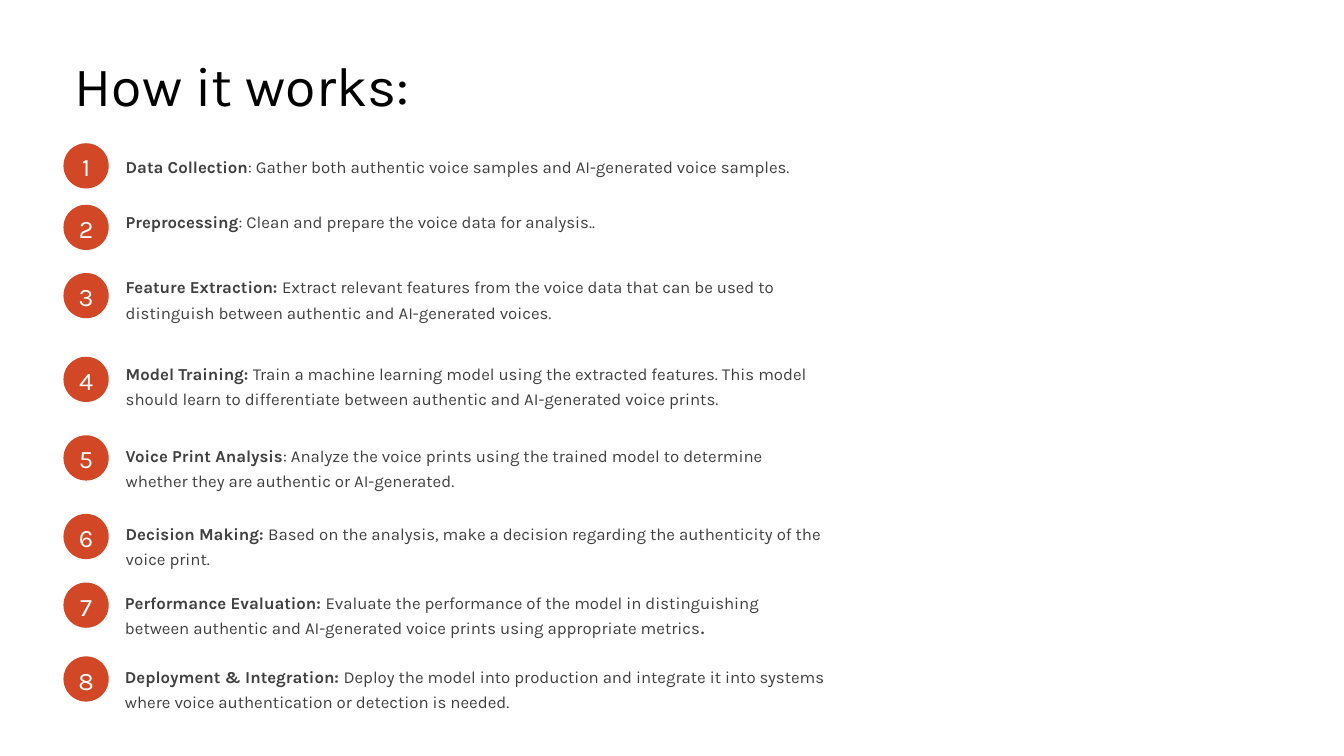
from dataclasses import dataclass

from pptx import Presentation
from pptx.dml.color import RGBColor
from pptx.enum.shapes import MSO_SHAPE as Preset
from pptx.enum.text import MSO_ANCHOR as Anchor, MSO_AUTO_SIZE as AutoSize, PP_ALIGN as Align
from pptx.slide import Slide
from pptx.util import Cm, Pt


@dataclass(frozen=True)
class Theme:
    font: str = "Karla"
    heading: RGBColor = RGBColor(0x00, 0x00, 0x00)
    accent: RGBColor = RGBColor(0xD2, 0x47, 0x26)
    on_accent: RGBColor = RGBColor(0xFF, 0xFF, 0xFF)
    body: RGBColor = RGBColor(0x40, 0x40, 0x40)
    heading_size: float = 39.6
    badge_size: float = 18
    body_size: float = 12


@dataclass(frozen=True)
class Step:
    name: str
    detail: str
    badge_top: float
    text_top: float
    text_left: float = 2.92
    ending: str = ""


THEME = Theme()
BADGE_LEFT, BADGE_DIAMETER = 1.6, 1.14
TEXT_WIDTH, TEXT_HEIGHT = 18.14, 1.65

STEPS = [
    Step("Data Collection",
         ": Gather both authentic voice samples and AI-generated voice samples.",
         3.61, 3.71),
    Step("Preprocessing",
         ": Clean and prepare the voice data for analysis..",
         5.16, 5.08),
    Step("Feature Extraction: ",
         "Extract relevant features from the voice data that can be used to "
         "distinguish between authentic and AI-generated voices.",
         6.88, 6.73),
    Step("Model Training: ",
         "Train a machine learning model using the extracted features. This model "
         "should learn to differentiate between authentic and AI-generated voice prints.",
         8.99, 8.92),
    Step("Voice Print Analysis",
         ": Analyze the voice prints using the trained model to determine "
         "whether they are authentic or AI-generated.",
         10.97, 10.97),
    Step("Decision Making: ",
         "Based on the analysis, make a decision regarding the authenticity of the "
         "voice print.",
         12.95, 12.95),
    Step("Performance Evaluation: ",
         "Evaluate the performance of the model in distinguishing "
         "between authentic and AI-generated voice prints using appropriate metrics",
         14.68, 14.68, 2.9, "."),
    Step("Deployment & Integration: ",
         "Deploy the model into production and integrate it into "
         "systems where voice authentication or detection is needed.",
         16.54, 16.54, 2.9),
]


def style_font(font, size: float, color: RGBColor) -> None:
    font.name = THEME.font
    font.size = Pt(size)
    font.color.rgb = color


def add_title(slide: Slide, wording: str) -> None:
    title = slide.shapes.title
    title.left, title.top, title.width, title.height = Cm(1.63), Cm(1.47), Cm(19.1), Cm(1.52)
    frame = title.text_frame
    frame.text = wording
    frame.auto_size = AutoSize.NONE
    frame.vertical_anchor = Anchor.MIDDLE
    heading = frame.paragraphs[0]
    heading.alignment = Align.LEFT
    heading.line_spacing = 0.9
    style_font(heading.font, THEME.heading_size, THEME.heading)


def add_badge(slide: Slide, number: int, top: float) -> None:
    badge = slide.shapes.add_shape(
        Preset.OVAL, Cm(BADGE_LEFT), Cm(top), Cm(BADGE_DIAMETER), Cm(BADGE_DIAMETER))
    badge.shadow.inherit = False
    badge.fill.solid()
    badge.fill.fore_color.rgb = THEME.accent
    badge.line.fill.background()
    frame = badge.text_frame
    frame.margin_left = frame.margin_right = frame.margin_bottom = 0
    frame.margin_top = Cm(0.05)
    frame.word_wrap = False
    frame.vertical_anchor = Anchor.MIDDLE
    frame.text = str(number)
    numeral = frame.paragraphs[0]
    numeral.alignment = Align.CENTER
    style_font(numeral.font, THEME.badge_size, THEME.on_accent)


def add_description(slide: Slide, step: Step) -> None:
    frame = slide.shapes.add_textbox(
        Cm(step.text_left), Cm(step.text_top), Cm(TEXT_WIDTH), Cm(TEXT_HEIGHT)).text_frame
    frame.word_wrap = True
    description = frame.paragraphs[0]
    description.line_spacing = Pt(18)
    description.space_before = Pt(10)
    description.space_after = Pt(6)
    style_font(description.font, THEME.body_size, THEME.body)
    for wording, bold in ((step.name, True), (step.detail, False), (step.ending, True)):
        if wording:
            run = description.add_run()
            run.text = wording
            run.font.bold = bold


def main() -> None:
    deck = Presentation()
    deck.slide_width, deck.slide_height = Cm(33.87), Cm(19.05)
    slide = deck.slides.add_slide(deck.slide_layouts[5])
    add_title(slide, "How it works:")
    for number, step in enumerate(STEPS, start=1):
        add_badge(slide, number, step.badge_top)
        add_description(slide, step)
    deck.save("out.pptx")


if __name__ == "__main__":
    main()
